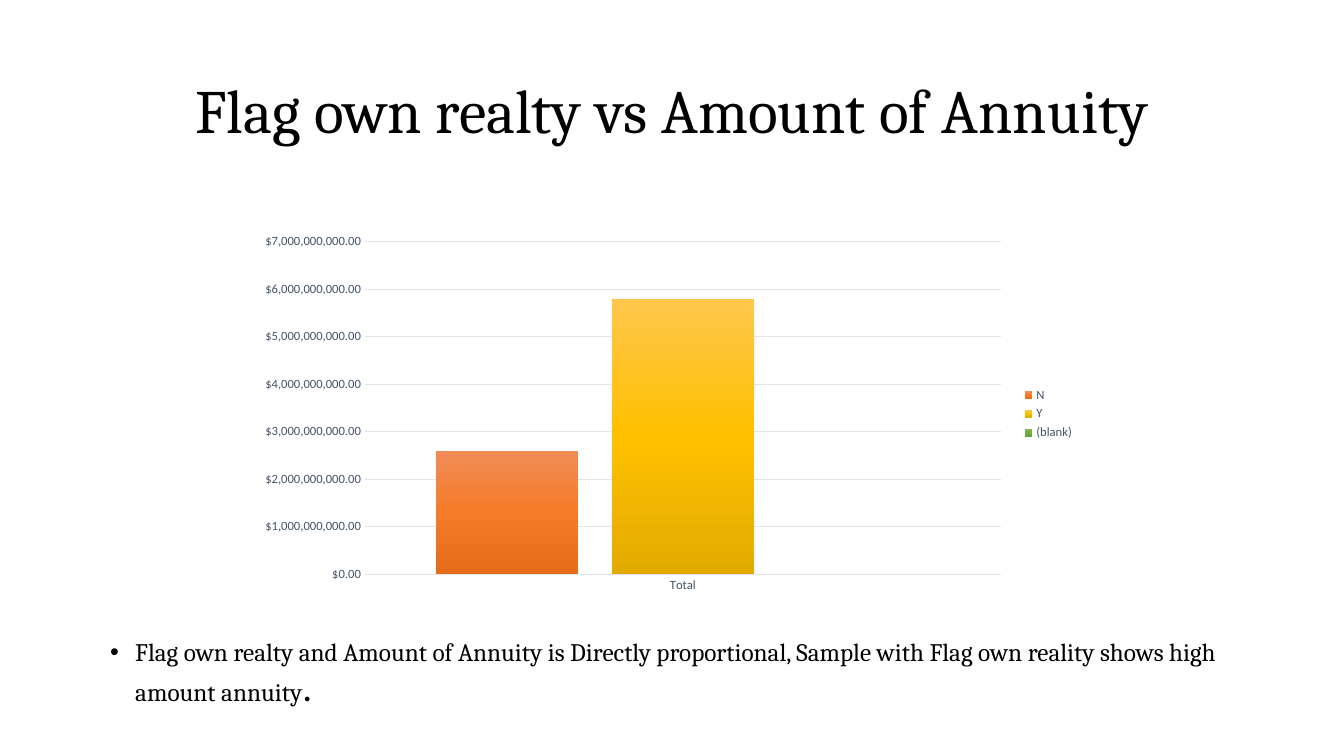
from dataclasses import dataclass

from lxml.etree import SubElement
from pptx import Presentation
from pptx.chart.data import CategoryChartData
from pptx.dml.color import RGBColor
from pptx.enum.chart import XL_CHART_TYPE as ChartType
from pptx.enum.chart import XL_LEGEND_POSITION as LegendPosition
from pptx.enum.chart import XL_TICK_MARK as TickMark
from pptx.enum.text import MSO_ANCHOR as Anchor
from pptx.enum.text import MSO_AUTO_SIZE as AutoSize
from pptx.enum.text import PP_ALIGN as Align
from pptx.oxml import parse_xml
from pptx.oxml.ns import nsdecls, qn
from pptx.util import Inches, Pt


@dataclass(frozen=True)
class Theme:
    serif: str = "Cambria"
    sans: str = "Calibri"
    ink: str = "000000"
    label: str = "44546A"
    grid: str = "E0E5EB"
    orange: tuple = ("F18C57", "F67B28", "E56C19")
    gold: tuple = ("FFC64B", "FFC000", "E3AB00")
    green: tuple = ("81B861", "6FB242", "62A336")
    title_size: float = 44
    body_size: float = 18
    stop_size: float = 28
    chart_size: float = 10
    label_size: float = 9
    hairline: float = 0.75


class SlideBuilder:
    columns = 160
    rows = 90

    def __init__(self, deck, theme):
        self.theme = theme
        self.column = deck.slide_width / self.columns
        self.row = deck.slide_height / self.rows
        self.page = deck.slides.add_slide(deck.slide_layouts[1])

    def area(self, left, top, width, height):
        return (round(left * self.column), round(top * self.row),
                round(width * self.column), round(height * self.row))

    def style(self, font, name, size, color):
        font.name = name
        font.size = Pt(size)
        font.color.rgb = RGBColor.from_string(color)

    def rule(self, line):
        line.color.rgb = RGBColor.from_string(self.theme.grid)
        line.width = Pt(self.theme.hairline)

    def place(self, box, area, anchor):
        box.left, box.top, box.width, box.height = self.area(*area)
        frame = box.text_frame
        frame.word_wrap = True
        frame.auto_size = AutoSize.NONE
        frame.vertical_anchor = anchor
        para = frame.paragraphs[0]
        para.line_spacing = 0.9
        return para

    def title(self, text, area):
        para = self.place(self.page.shapes.title, area, Anchor.MIDDLE)
        para.text = text
        para.alignment = Align.CENTER
        self.style(para.font, self.theme.serif, self.theme.title_size, self.theme.ink)

    def bullet(self, spans, area):
        para = self.place(self.page.placeholders[1], area, Anchor.TOP)
        para.space_before = Pt(10)
        properties = para._p.get_or_add_pPr()
        properties.set("marL", str(Inches(0.25)))
        properties.set("indent", str(-Inches(0.25)))
        SubElement(properties, qn("a:buFont"), typeface="Arial")
        SubElement(properties, qn("a:buChar"), char="•")
        for text, name, size in spans:
            span = para.add_run()
            span.text = text
            self.style(span.font, name, size, self.theme.ink)

    def gradient(self, series, colors):
        stops = "".join(
            f'<a:gs pos="{index * 50000}"><a:srgbClr val="{color}"/></a:gs>'
            for index, color in enumerate(colors))
        fill = parse_xml(
            f'<a:gradFill {nsdecls("a")} rotWithShape="1"><a:gsLst>{stops}</a:gsLst>'
            '<a:lin ang="5400000" scaled="0"/></a:gradFill>')
        series.format.line.fill.background()
        series._element.get_or_add_spPr().insert(0, fill)

    def plot_area(self, chart, **shares):
        plot_area = chart._chartSpace.chart.plotArea
        for layout in plot_area.findall(qn("c:layout")):
            plot_area.remove(layout)
        modes = {"layoutTarget": "inner", "xMode": "edge", "yMode": "edge"}
        settings = "".join(
            f'<c:{key} val="{value}"/>' for key, value in {**modes, **shares}.items())
        plot_area.insert(0, parse_xml(
            f'<c:layout {nsdecls("c")}><c:manualLayout>{settings}'
            '</c:manualLayout></c:layout>'))

    def column_chart(self, category, bars, area):
        theme = self.theme
        data = CategoryChartData(number_format="[$$-1009]#,##0.00")
        data.categories = [category]
        for name, value, _ in bars:
            data.add_series(name, [value])
        chart = self.page.shapes.add_chart(
            ChartType.COLUMN_CLUSTERED, *self.area(*area), data).chart
        chart.has_title = False
        self.style(chart.font, theme.sans, theme.chart_size, theme.ink)
        self.plot_area(chart, x=0.14, y=0.04, w=0.76, h=0.89)

        plot = chart.plots[0]
        plot.gap_width = 100
        plot.overlap = -24
        plot.vary_by_categories = False
        for series, (_, _, colors) in zip(plot.series, bars):
            self.gradient(series, colors)

        chart.has_legend = True
        chart.legend.position = LegendPosition.RIGHT
        chart.legend.include_in_layout = False
        for part in (chart.category_axis.tick_labels, chart.value_axis.tick_labels,
                     chart.legend):
            self.style(part.font, theme.sans, theme.label_size, theme.label)
        for axis in (chart.category_axis, chart.value_axis):
            axis.major_tick_mark = axis.minor_tick_mark = TickMark.NONE

        self.rule(chart.category_axis.format.line)
        values = chart.value_axis
        values.minimum_scale, values.maximum_scale = 0, 7_000_000_000
        values.major_unit = 1_000_000_000
        values.format.line.fill.background()
        values.has_major_gridlines = True
        self.rule(values.major_gridlines.format.line)
        values.tick_labels.number_format = "[$$-1009]#,##0.00"
        values.tick_labels.number_format_is_linked = False


def main():
    deck = Presentation()
    deck.slide_width, deck.slide_height = Inches(13.33), Inches(7.5)
    theme = Theme()
    slide = SlideBuilder(deck, theme)
    slide.title("Flag own realty vs Amount of Annuity", (11, 4.8, 138, 17.4))
    slide.bullet([
        ("Flag own realty and Amount of Annuity is Directly proportional, "
         "Sample with Flag own reality shows high amount annuity",
         theme.serif, theme.body_size),
        (".", theme.sans, theme.stop_size),
    ], (11.9, 75.6, 138, 12.2))
    slide.column_chart("Total", [
        ("N", 2_600_000_000, theme.orange),
        ("Y", 5_800_000_000, theme.gold),
        ("(blank)", 0, theme.green),
    ], (29.5, 27, 99.6, 44.5))
    deck.save("out.pptx")


if __name__ == "__main__":
    main()
